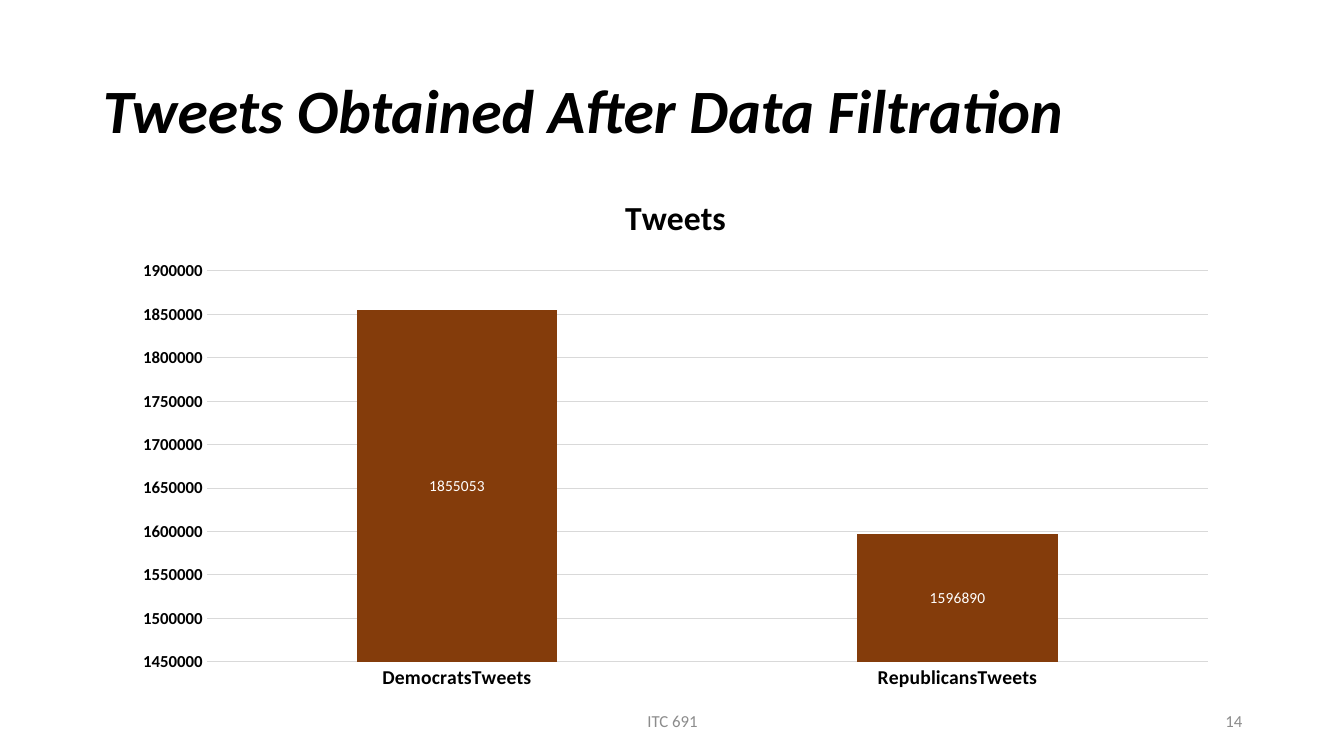
from pptx import Presentation
from pptx.chart.data import CategoryChartData
from pptx.dml.color import RGBColor
from pptx.enum.chart import XL_CHART_TYPE, XL_LABEL_POSITION, XL_TICK_MARK
from pptx.enum.text import MSO_ANCHOR, PP_ALIGN
from pptx.util import Inches, Pt

WIDE, HIGH = Inches(13.33), Inches(7.5)
FACE = "Calibri"
BLACK = RGBColor(0x00, 0x00, 0x00)
WHITE = RGBColor(0xFF, 0xFF, 0xFF)
GRAY = RGBColor(0x8C, 0x8C, 0x8C)
PALE = RGBColor(0xD9, 0xD9, 0xD9)
BROWN = RGBColor(0x84, 0x3C, 0x0B)

COUNTS = {"DemocratsTweets": 1855053, "RepublicansTweets": 1596890}


def style(font, size, color, bold=False, italic=False):
    font.name, font.size = FACE, Pt(size)
    font.bold, font.italic = bold, italic
    font.color.rgb = color


def box(left, top, width, height):
    """Turn inches into the four lengths of a frame."""
    return [Inches(n) for n in (left, top, width, height)]


def add_title(slide, text):
    title = slide.shapes.title
    title.left, title.top, title.width, title.height = box(0.92, 0.4, 11.5, 1.45)
    frame = title.text_frame
    frame.word_wrap = True
    frame.vertical_anchor = MSO_ANCHOR.MIDDLE
    para = frame.paragraphs[0]
    para.alignment, para.line_spacing = PP_ALIGN.LEFT, 0.9
    run = para.add_run()
    run.text = text
    style(run.font, 44, BLACK, bold=True, italic=True)


def add_foot(slide, text, left, width, align):
    frame = slide.shapes.add_textbox(*box(left, 6.95, width, 0.4)).text_frame
    frame.word_wrap = True
    frame.vertical_anchor = MSO_ANCHOR.MIDDLE
    para = frame.paragraphs[0]
    para.alignment = align
    run = para.add_run()
    run.text = text
    style(run.font, 12, GRAY)


def style_axis(axis, size):
    axis.major_tick_mark = axis.minor_tick_mark = XL_TICK_MARK.NONE
    style(axis.tick_labels.font, size, BLACK, bold=True)


def add_bars(slide, name, counts):
    data = CategoryChartData()
    data.categories = list(counts)
    data.add_series(name, list(counts.values()))
    chart = slide.shapes.add_chart(
        XL_CHART_TYPE.COLUMN_STACKED, *box(1.2, 1.72, 11, 5.23), data).chart
    style(chart.font, 10, BLACK)
    chart.has_legend = False
    chart.has_title = True
    run = chart.chart_title.text_frame.paragraphs[0].add_run()
    run.text = name
    style(run.font, 24, BLACK, bold=True)

    style_axis(chart.category_axis, 14)
    base = chart.category_axis.format.line
    base.color.rgb, base.width = PALE, Pt(0.75)

    scale = chart.value_axis
    style_axis(scale, 12)
    scale.minimum_scale, scale.maximum_scale = 1450000, 1900000
    scale.major_unit = 50000
    scale.format.line.fill.background()
    grid = scale.major_gridlines.format.line
    grid.color.rgb, grid.width = PALE, Pt(0.75)

    plot = chart.plots[0]
    plot.gap_width, plot.overlap = 150, 100
    plot.vary_by_categories = False
    bars = plot.series[0]
    bars.format.fill.solid()
    bars.format.fill.fore_color.rgb = BROWN
    labels = bars.data_labels
    labels.show_value = True
    labels.position = XL_LABEL_POSITION.CENTER
    style(labels.font, 11, WHITE)


def main():
    deck = Presentation()
    deck.slide_width, deck.slide_height = WIDE, HIGH
    slide = deck.slides.add_slide(deck.slide_layouts[5])
    add_title(slide, "Tweets Obtained After Data Filtration")
    add_bars(slide, "Tweets", COUNTS)
    add_foot(slide, "ITC 691", 4.42, 4.5, PP_ALIGN.CENTER)
    add_foot(slide, "14", 9.42, 3, PP_ALIGN.RIGHT)
    deck.save("out.pptx")


if __name__ == "__main__":
    main()
